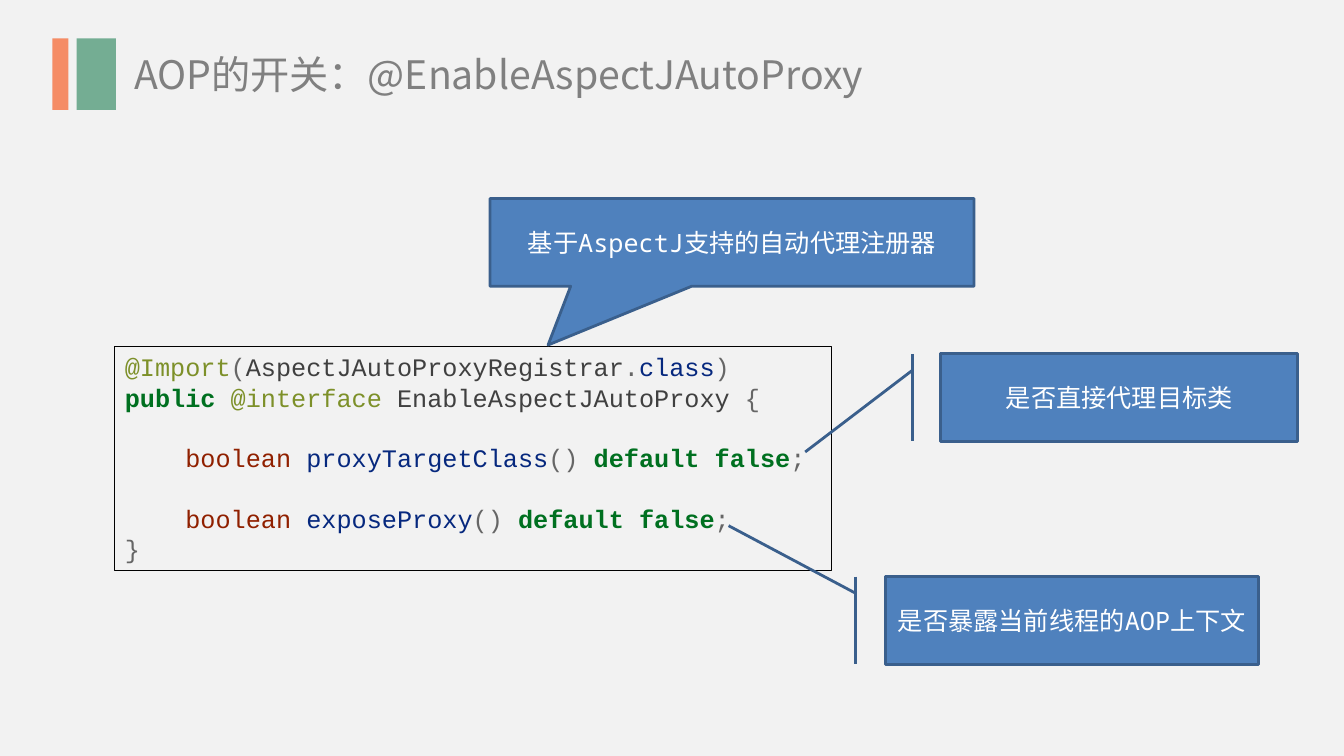
from dataclasses import dataclass

from lxml import etree
from pptx import Presentation
from pptx.dml.color import RGBColor
from pptx.enum.shapes import MSO_SHAPE
from pptx.enum.text import MSO_ANCHOR, PP_ALIGN
from pptx.oxml.ns import qn
from pptx.util import Inches, Pt

RECT = MSO_SHAPE.RECTANGLE
ACCENT = MSO_SHAPE.LINE_CALLOUT_1_BORDER_AND_ACCENT_BAR
WEDGE = MSO_SHAPE.RECTANGULAR_CALLOUT
LEFT, CENTER = PP_ALIGN.LEFT, PP_ALIGN.CENTER
TOP, MIDDLE = MSO_ANCHOR.TOP, MSO_ANCHOR.MIDDLE

SLIDE_W, SLIDE_H = Inches(13.33), Inches(7.5)
CJK, MONO, CODE = "Noto Sans CJK SC", "Noto Sans Mono", "Courier New"
CODE_SIZE, CODE_PITCH = Pt(18), Pt(21.6)
CODE_INDENT = Pt(4 * 10.8)  # four characters

ANNOTATION, PUNCTUATION, PLAIN = "7D9029", "666666", "404040"
NAME, KEYWORD, TYPE = "06287E", "007020", "902000"


@dataclass
class Box:
    """A frame in percent of the slide's width and height."""
    x: float
    y: float
    w: float
    h: float

    def emu(self) -> tuple[int, int, int, int]:
        """Return left, top, width and height in EMU."""
        return (int(SLIDE_W * self.x / 100), int(SLIDE_H * self.y / 100),
                int(SLIDE_W * self.w / 100), int(SLIDE_H * self.h / 100))


@dataclass
class Bar:
    """A coloured bar beside the title."""
    box: Box
    color: str


@dataclass
class Callout:
    """A labelled callout and the adjustments of its pointer."""
    kind: MSO_SHAPE
    box: Box
    text: str
    pointer: tuple[float, ...]


@dataclass
class CodeLine:
    """A line of code: (text, colour) tokens and its layout."""
    tokens: list[tuple[str, str]]
    member: bool = False


BARS = [Bar(Box(3.9, 5.07, 1.2, 9.47), "F58C65"),
        Bar(Box(5.7, 5.07, 2.93, 9.47), "74AD93")]

CALLOUTS = [
    Callout(ACCENT, Box(70, 46.8, 26.56, 11.6), "是否直接代理目标类",
            (0.19, -0.08, 1.12, -0.38)),
    Callout(ACCENT, Box(65.87, 76.27, 27.76, 11.6), "是否暴露当前线程的AOP上下文",
            (0.19, -0.08, -0.58, -0.42)),
    Callout(WEDGE, Box(36.46, 26.27, 36.01, 11.6), "基于AspectJ支持的自动代理注册器",
            (-0.38, 1.17)),
]


def member(name: str) -> CodeLine:
    """Describe a boolean annotation member that defaults to false."""
    return CodeLine([("boolean ", TYPE), (name, NAME), ("() ", PUNCTUATION),
                     ("default false", KEYWORD), (";", PUNCTUATION)], True)


CODE_LINES = [
    CodeLine([("@Import", ANNOTATION), ("(", PUNCTUATION),
              ("AspectJAutoProxyRegistrar", PLAIN), (".", PUNCTUATION),
              ("class", NAME), (")", PUNCTUATION)]),
    CodeLine([("public ", KEYWORD), ("@interface", ANNOTATION),
              (" EnableAspectJAutoProxy ", PLAIN), ("{", PUNCTUATION)]),
    member("proxyTargetClass"),
    member("exposeProxy"),
    CodeLine([("}", PUNCTUATION)]),
]


def rgb(value: str) -> RGBColor:
    """Turn a hex string into a colour."""
    return RGBColor.from_string(value)


def write(tf, text: str, font: str, size: float, color: str, align) -> None:
    """Write one paragraph, vertically centred, in a single format."""
    tf.vertical_anchor = MIDDLE
    p = tf.paragraphs[0]
    p.text, p.alignment = text, align
    p.font.name, p.font.size, p.font.bold = font, Pt(size), False
    p.font.color.rgb = rgb(color)
    latin = p._p.pPr.find(qn("a:defRPr")).find(qn("a:latin"))
    east_asian = etree.Element(qn("a:ea"), typeface=CJK)
    latin.addnext(east_asian)


def add_box(shapes, kind, box: Box, fill: str = "", line: str = "",
            weight: float = 0):
    """Add a preset shape, leaving out any fill or line not named."""
    sp = shapes.add_shape(kind, *box.emu())
    sp.shadow.inherit = False
    if fill:
        sp.fill.solid()
        sp.fill.fore_color.rgb = rgb(fill)
    else:
        sp.fill.background()
    if line:
        sp.line.color.rgb = rgb(line)
        sp.line.width = Pt(weight)
    else:
        sp.line.fill.background()
    return sp


def add_title(s, box: Box, text: str) -> None:
    """Place and format the title placeholder."""
    sp = s.shapes.title
    sp.left, sp.top, sp.width, sp.height = box.emu()
    sp.text_frame.word_wrap = False
    write(sp.text_frame, text, CJK, 28, "808080", LEFT)


def add_callout(s, callout: Callout) -> None:
    """Add a blue callout with its pointer and label."""
    sp = add_box(s.shapes, callout.kind, callout.box, "4F81BD", "3A5F8C", 2)
    for i, value in enumerate(callout.pointer):
        sp.adjustments[i] = value
    sp.text_frame.word_wrap = True
    write(sp.text_frame, callout.text, MONO, 18, "FFFFFF", CENTER)


def add_code(s, box: Box, lines: list[CodeLine]) -> None:
    """Add the framed listing, one paragraph for each line of code."""
    tf = add_box(s.shapes, RECT, box, line="000000", weight=0.75).text_frame
    tf.word_wrap, tf.vertical_anchor = True, TOP
    for i, line in enumerate(lines):
        p = tf.paragraphs[0] if i == 0 else tf.add_paragraph()
        p.alignment, p.line_spacing = LEFT, CODE_PITCH
        if line.member:
            p.space_before = CODE_PITCH
            p._p.get_or_add_pPr().set("marL", str(CODE_INDENT))
        p.font.name, p.font.size = CODE, CODE_SIZE
        for text, color in line.tokens:
            r = p.add_run()
            r.text = text
            r.font.color.rgb = rgb(color)
            r.font.bold = color == KEYWORD


def main() -> None:
    """Build and save the slide."""
    prs = Presentation()
    prs.slide_width, prs.slide_height = SLIDE_W, SLIDE_H
    s = prs.slides.add_slide(prs.slide_layouts[5])
    s.background.fill.solid()
    s.background.fill.fore_color.rgb = rgb("F2F2F2")

    add_title(s, Box(9.23, 6, 57.24, 7.6), "AOP的开关：@EnableAspectJAutoProxy")
    marker = s.shapes.add_group_shape()
    for bar in BARS:
        add_box(marker.shapes, RECT, bar.box, bar.color)
    add_code(s, Box(8.55, 45.87, 53.34, 29.6), CODE_LINES)
    for callout in CALLOUTS:
        add_callout(s, callout)
    prs.save("out.pptx")


main()
